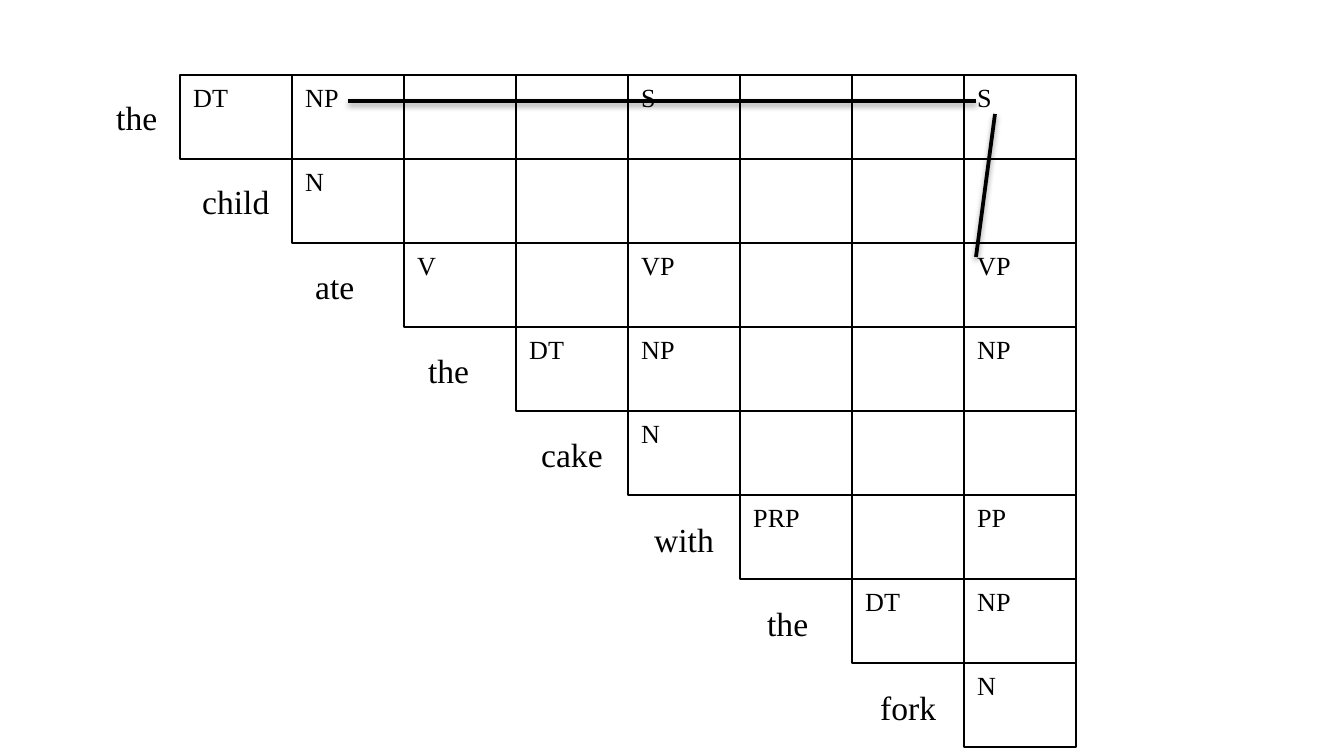
"""Build a triangular parse chart for one sentence."""
from lxml import etree
from pptx import Presentation, util as u
from pptx.dml.color import RGBColor
from pptx.enum import shapes, text
from pptx.oxml.ns import qn

SCALE = 9144000 / 1344
FONT = "Times New Roman"
COLORS = {"ink": "000000"}
CELL_WIDTH, CELL_HEIGHT = 112, 84
WORDS = [("the", 69), ("child", 95), ("ate", 67), ("the", 69),
         ("cake", 89), ("with", 87), ("the", 69), ("fork", 83)]
CATEGORIES = {
    (0, 0): "DT", (0, 1): "NP", (0, 4): "S", (0, 7): "S",
    (1, 1): "N",
    (2, 2): "V", (2, 4): "VP", (2, 7): "VP",
    (3, 3): "DT", (3, 4): "NP", (3, 7): "NP",
    (4, 4): "N",
    (5, 5): "PRP", (5, 7): "PP",
    (6, 6): "DT", (6, 7): "NP",
    (7, 7): "N",
}


def px(*lengths):
    """Turn pixel lengths into EMU."""
    return [u.Emu(round(length * SCALE)) for length in lengths]


def ink():
    """Return the drawing colour."""
    return RGBColor.from_string(COLORS["ink"])


def write(shape, words, size):
    """Add one left-aligned run to a shape."""
    paragraph = shape.text_frame.paragraphs[0]
    paragraph.alignment = text.PP_ALIGN.LEFT
    run = paragraph.add_run()
    run.text = words
    run.font.name = FONT
    run.font.size = u.Pt(size)
    run.font.color.rgb = ink()


def add_cell(slide, left, top, category):
    """Draw one chart cell with its category, if it has one."""
    cell = slide.shapes.add_shape(shapes.MSO_SHAPE.RECTANGLE,
                                  *px(left, top, CELL_WIDTH, CELL_HEIGHT))
    cell.shadow.inherit = False
    cell.fill.background()
    cell.line.color.rgb = ink()
    cell.line.width = u.Pt(0.75)
    cell.text_frame.vertical_anchor = text.MSO_ANCHOR.TOP
    if category:
        write(cell, category, 14)


def add_chart_cells(slide, left, top):
    """Draw the upper triangle of cells."""
    for row in range(len(WORDS)):
        for column in range(row, len(WORDS)):
            add_cell(slide, left + column * CELL_WIDTH, top + row * CELL_HEIGHT,
                     CATEGORIES.get((row, column)))


def add_words(slide, left, top):
    """Place the sentence's words along the diagonal."""
    for row, (word, width) in enumerate(WORDS):
        indent = 113 * row - 27 if row else 0
        box = slide.shapes.add_textbox(
            *px(left + indent, top + 84.4 * row, width, 54))
        box.text_frame.word_wrap = False
        box.text_frame.auto_size = text.MSO_AUTO_SIZE.SHAPE_TO_FIT_TEXT
        write(box, word, 18)


def add_link(slide, start, end):
    """Draw a shadowed line from a category to one of its parts."""
    link = slide.shapes.add_connector(shapes.MSO_CONNECTOR.STRAIGHT,
                                      *px(*start, *end))
    link.line.color.rgb = ink()
    link.line.width = u.Pt(2)
    effects = etree.SubElement(link._element.spPr, qn("a:effectLst"))
    shadow = etree.SubElement(effects, qn("a:outerShdw"), blurRad="40000",
                              dist="20000", dir="5400000", rotWithShape="0")
    color = etree.SubElement(shadow, qn("a:srgbClr"), val=COLORS["ink"])
    etree.SubElement(color, qn("a:alpha"), val="38000")


def add_links(slide, left, top):
    """Link the sentence cell to its noun phrase and verb phrase."""
    add_link(slide, (left + 796, top + 26), (left + 168, top + 26))
    add_link(slide, (left + 815, top + 39), (left + 796, top + 182))


def main():
    """Build and save the presentation."""
    presentation = Presentation()
    presentation.slide_width, presentation.slide_height = px(1344, 756)
    slide = presentation.slides.add_slide(presentation.slide_layouts[6])
    add_chart_cells(slide, 180, 75)
    add_words(slide, 103, 90)
    add_links(slide, 180, 75)
    presentation.save("out.pptx")


if __name__ == "__main__":
    main()
